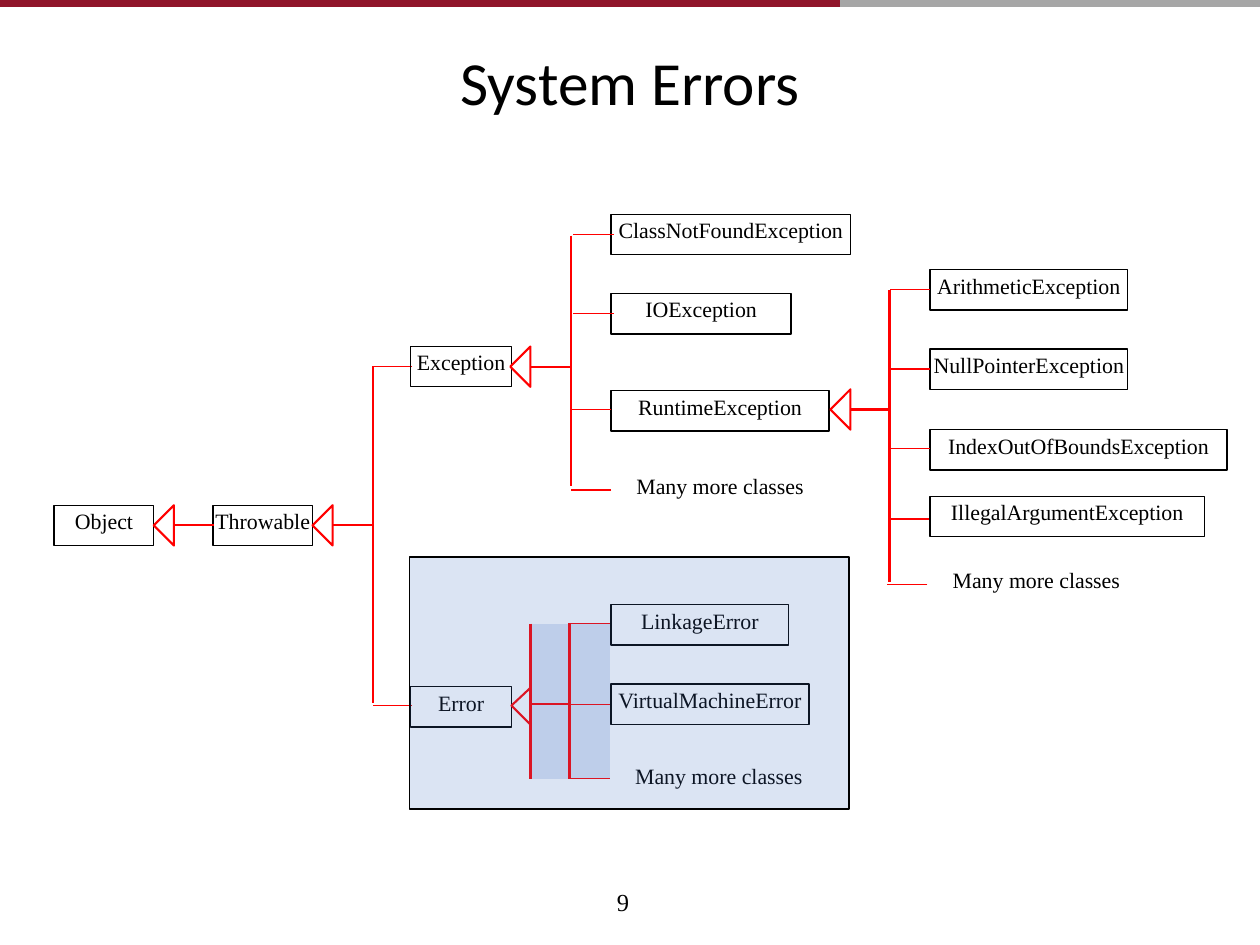
from lxml import etree
from pptx import Presentation
from pptx.dml.color import RGBColor
from pptx.enum.shapes import MSO_CONNECTOR as CONN, MSO_SHAPE as SHAPE
from pptx.enum.text import MSO_ANCHOR as ANCHOR, MSO_AUTO_SIZE as AUTO, PP_ALIGN as ALIGN
from pptx.oxml import parse_xml
from pptx.oxml.ns import nsdecls, qn
from pptx.util import Inches, Pt

RED, BLACK = "FF0000", "000000"
SERIF = "Times New Roman"


def write(tf, text, size, font=SERIF, inset=0.02):
    tf.margin_left = tf.margin_right = tf.margin_bottom = 0
    tf.margin_top = Inches(inset)
    tf.word_wrap, tf.auto_size = False, AUTO.NONE
    tf.vertical_anchor = ANCHOR.TOP
    p = tf.paragraphs[0]
    p.alignment = ALIGN.CENTER
    r = p.add_run()
    r.text = text
    r.font.name, r.font.size = font, Pt(size)
    r.font.color.rgb = RGBColor.from_string(BLACK)


def strokes(lines, width):
    """Draw several open red polylines as one outline."""
    points = [[(Inches(x), Inches(y)) for x, y in pts] for pts in lines]
    fb = s.shapes.build_freeform(*points[0][0])
    for i, pts in enumerate(points):
        if i:
            fb.move_to(*pts[0])
        fb.add_line_segments(pts[1:], close=False)
    sp = fb.convert_to_shape()
    sp.shadow.inherit = False
    sp.fill.background()
    sp.line.width = Pt(width)
    sp.line.color.rgb = RGBColor.from_string(RED)


prs = Presentation()
prs.slide_width, prs.slide_height = Inches(10), Inches(7.5)
s = prs.slides.add_slide(prs.slide_layouts[5])

# Top bar (two thirds crimson, one third grey) and the lone branch lines
for x1, y1, x2, y2, width, color in [
    (6.67, 0.03, 10, 0.03, 4, "A6A6A6"),
    (0, 0.03, 6.67, 0.03, 4, "90152A"),
    (3.27, 2.91, 2.95, 2.91, 0.79, RED),
    (3.27, 5.6, 2.96, 5.6, 0.79, RED),
    (7.37, 4.12, 7.06, 4.12, 0.79, RED),
]:
    c = s.shapes.add_connector(CONN.STRAIGHT, *map(Inches, (x1, y1, x2, y2)))
    c.line.width = Pt(width)
    c.line.color.rgb = RGBColor.from_string(color)
    etree.SubElement(c._element.spPr, qn("a:effectLst"))

# Title
title = s.shapes.title
title.left, title.top, title.width, title.height = map(Inches, (3.5, 0.34, 3, 0.61))
write(title.text_frame, "System Errors", 35, "Calibri", 0.01)

# Class boxes: columns of the hierarchy
COL = [0.43, 1.69, 3.26, 4.85, 7.38]
H = 0.32
classes = [
    ("Object", 0, 4.01, 0.79),
    ("Throwable", 1, 4.01, 0.79),
    ("Exception", 2, 2.75, 0.8),
    ("Error", 2, 5.45, 0.8),
    ("ClassNotFoundException", 3, 1.7, 1.9),
    ("IOException", 3, 2.33, 1.43),
    ("RuntimeException", 3, 3.1, 1.73),
    ("LinkageError", 3, 4.8, 1.41),
    ("VirtualMachineError", 3, 5.43, 1.57),
    ("ArithmeticException", 4, 2.14, 1.57),
    ("NullPointerException", 4, 2.77, 1.57),
    ("IndexOutOfBoundsException", 4, 3.41, 2.36),
    ("IllegalArgumentException", 4, 3.94, 2.18),
]
for name, col, top, width in classes:
    box = s.shapes.add_shape(SHAPE.RECTANGLE, *map(Inches, (COL[col], top, width, H)))
    box.shadow.inherit = False
    box.fill.background()
    box.line.width = Pt(0.79)
    box.line.color.rgb = RGBColor.from_string(BLACK)
    write(box.text_frame, name, 12.5)

for left, top in [(5.03, 3.73), (7.54, 4.48), (5.02, 6.03)]:
    tb = s.shapes.add_textbox(*map(Inches, (left, top, 1.37, 0.24)))
    write(tb.text_frame, "Many more classes", 12.5)

# Inheritance arrows: tip, end of stem, and the trunk's top and bottom
HEAD = 0.16
for x, y, stem, trunk in [(1.22, 4.17, 1.7, None), (2.48, 4.17, 2.96, (2.91, 5.58)),
                          (4.05, 2.91, 4.53, (1.87, 3.86)), (6.59, 3.25, 7.06, (2.3, 4.62))]:
    base = x + HEAD
    lines = [[(stem, y), (base, y)],
             [(base, y + HEAD), (x, y), (base, y - HEAD), (base, y + HEAD)]]
    if trunk:
        lines.append([(stem, end) for end in trunk])
    strokes(lines, 1.18)
strokes([[(4.22, 5.76), (4.06, 5.6), (4.22, 5.45)]], 1.18)

# Branches from the trunks to the classes: left end and row
branches = [(7.06, 2.3), (7.06, 2.93), (7.06, 3.56), (7.04, 4.64),
            (4.53, 3.89), (4.53, 3.25), (4.55, 2.49), (4.55, 1.86)]
strokes([[(x + 0.32, y), (x, y)] for x, y in branches], 0.79)

# Error branches: a bordered 2 x 2 table
frame = s.shapes.add_table(2, 2, *map(Inches, (4.21, 4.95, 0.63, 1.23)))
table = frame.table
table.first_row = table.horz_banding = False
for i, width in enumerate((0.31, 0.32)):
    table.columns[i].width = Inches(width)
for i, height in enumerate((0.64, 0.59)):
    table.rows[i].height = Inches(height)
borders = {
    (0, 0): {"L": 1.5, "R": 1.5, "B": 1.5},
    (1, 0): {"L": 1.5, "R": 1.5, "T": 1.5},
    (0, 1): {"L": 1.5, "T": 1, "B": 1},
    (1, 1): {"L": 1.5, "T": 1, "B": 1},
}
for (row, col), sides in borders.items():
    cell = table.cell(row, col)
    tcPr = cell._tc.get_or_add_tcPr()
    for side in "LRTB":
        width = sides.get(side, 0)
        paint = f'<a:solidFill><a:srgbClr val="{RED}"/></a:solidFill>' if width else "<a:noFill/>"
        tcPr.append(parse_xml(
            f'<a:ln{side} {nsdecls("a")} w="{Pt(width)}">{paint}</a:ln{side}>'))
    cell.fill.solid()
    cell.fill.fore_color.rgb = RGBColor.from_string("DBE4F3")

# Translucent highlight over the Error branch
area = s.shapes.add_shape(SHAPE.RECTANGLE, *map(Inches, (3.25, 4.42, 3.49, 2)))
area.shadow.inherit = False
area.fill.solid()
area.fill.fore_color.rgb = RGBColor.from_string("4472C4")
color = area._element.spPr.find(qn("a:solidFill"))[0]
etree.SubElement(color, qn("a:alpha"), val="19000")
area.line.width = Pt(1)
area.line.color.rgb = RGBColor.from_string(BLACK)

# Page number
number = s.shapes.add_textbox(*map(Inches, (4.8, 7.04, 0.29, 0.24)))
write(number.text_frame, "9", 14, inset=0)

prs.save("out.pptx")
